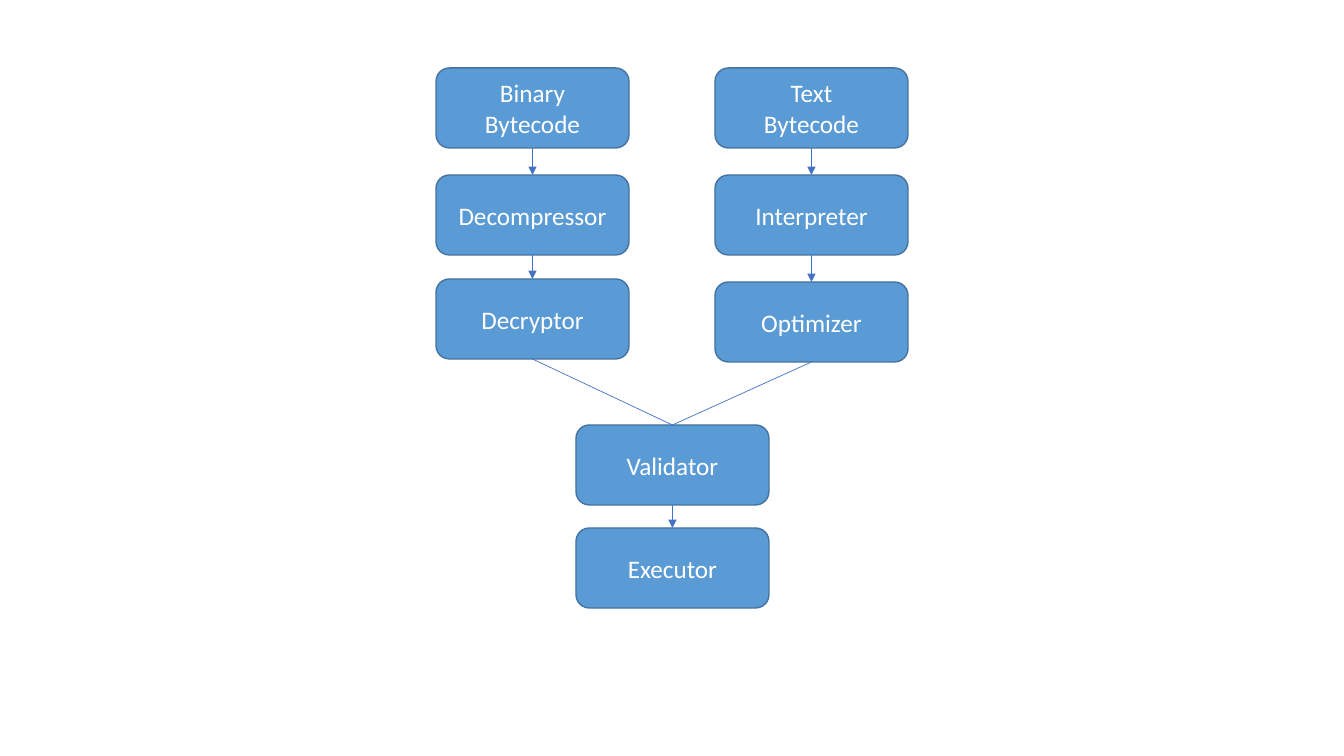
from pptx import Presentation
from pptx.dml.color import RGBColor
from pptx.enum.shapes import MSO_CONNECTOR, MSO_SHAPE
from pptx.enum.text import MSO_ANCHOR, PP_ALIGN
from pptx.oxml.ns import qn
from pptx.util import Emu, Pt
from lxml.etree import SubElement

# Content: each chain has a left edge and (label, top) stages, in pixels
CHAINS = {
    "binary": (436, [("Binary\nBytecode", 68), ("Decompressor", 175), ("Decryptor", 279)]),
    "text": (715, [("Text\nBytecode", 68), ("Interpreter", 175), ("Optimizer", 282)]),
    "shared": (576, [("Validator", 425), ("Executor", 528)]),
}
MERGES = [("binary", "shared"), ("text", "shared")]
COLORS = {"stage": "5B9BD5", "outline": "43739E", "label": "FFFFFF", "flow": "4472C4"}
STAGE_WIDTH, STAGE_HEIGHT = 193, 80
TOP_SITE, BOTTOM_SITE = 0, 2


def px(pixels):
    return Emu(round(pixels * 914400 / 100.8))


def color(name):
    return RGBColor.from_string(COLORS[name])


def add_stage(label, left, top):
    stage = slide.shapes.add_shape(MSO_SHAPE.FLOWCHART_ALTERNATE_PROCESS,
                                   px(left), px(top), px(STAGE_WIDTH), px(STAGE_HEIGHT))
    stage.shadow.inherit = False
    stage.fill.solid()
    stage.fill.fore_color.rgb = color("stage")
    stage.line.color.rgb = color("outline")
    stage.line.width = Pt(1)
    frame = stage.text_frame
    frame.word_wrap = True
    frame.vertical_anchor = MSO_ANCHOR.MIDDLE
    frame.text = label
    for paragraph in frame.paragraphs:
        paragraph.alignment = PP_ALIGN.CENTER
        paragraph.font.name = "Calibri"
        paragraph.font.size = Pt(18)
        paragraph.font.color.rgb = color("label")
    return stage


def add_flow(source, target, arrow):
    flow = slide.shapes.add_connector(MSO_CONNECTOR.STRAIGHT, 0, 0, 0, 0)
    flow.begin_connect(source, BOTTOM_SITE)
    flow.end_connect(target, TOP_SITE)
    flow.line.color.rgb = color("flow")
    flow.line.width = Pt(0.5)
    if arrow:
        SubElement(flow.line._get_or_add_ln(), qn("a:tailEnd"), type="triangle")
    SubElement(flow._element.spPr, qn("a:effectLst"))


prs = Presentation()
prs.slide_width, prs.slide_height = px(1344), px(756)
slide = prs.slides.add_slide(prs.slide_layouts[6])

# Stages
stages = {name: [add_stage(label, left, top) for label, top in chain]
          for name, (left, chain) in CHAINS.items()}

# Arrows down each chain
for chain in stages.values():
    for source, target in zip(chain, chain[1:]):
        add_flow(source, target, arrow=True)

# Plain lines where the chains merge
for source, target in MERGES:
    add_flow(stages[source][-1], stages[target][0], arrow=False)

prs.save("out.pptx")
